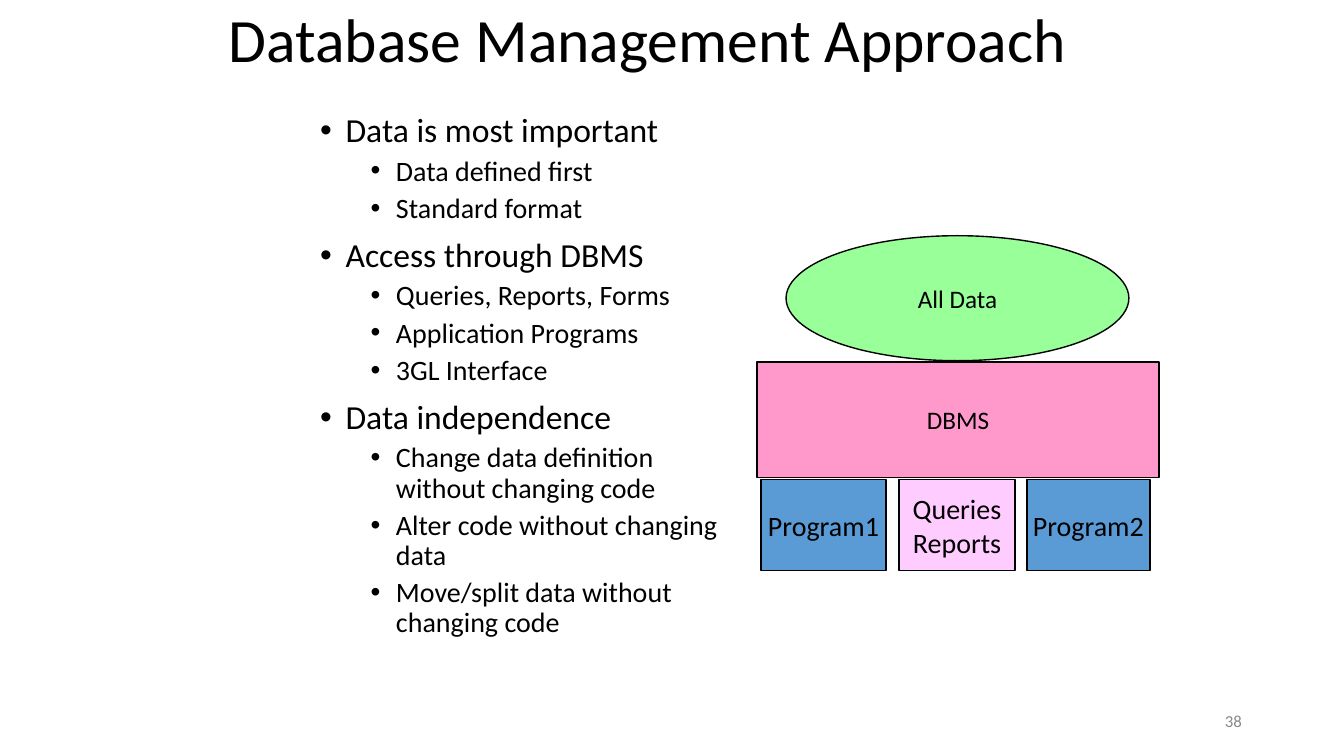
from dataclasses import dataclass

from lxml.etree import SubElement
from pptx import Presentation
from pptx.dml.color import RGBColor
from pptx.enum.shapes import MSO_SHAPE
from pptx.enum.text import MSO_ANCHOR, MSO_AUTO_SIZE, PP_ALIGN
from pptx.oxml.ns import qn
from pptx.util import Cm, Pt


@dataclass(frozen=True)
class Theme:
    font: str = "Calibri"
    black: str = "000000"
    grey: str = "898989"
    green: str = "99FF99"
    pink: str = "FF99CC"
    blue: str = "5B9BD5"
    lilac: str = "FFCCFF"
    title: int = 44
    point: int = 24
    label: int = 20
    store: int = 18
    small: int = 12


THEME = Theme()

POINTS = [
    ("Data is most important", ["Data defined first", "Standard format"]),
    ("Access through DBMS",
     ["Queries, Reports, Forms", "Application Programs", "3GL Interface"]),
    ("Data independence",
     ["Change data definition without changing code",
      "Alter code without changing data",
      "Move/split data without changing code"]),
]

BLOCKS = [
    ("All Data", MSO_SHAPE.OVAL, (19.81, 5.94, 8.64, 3.15), THEME.green, THEME.store),
    ("DBMS", MSO_SHAPE.RECTANGLE, (19.08, 9.12, 10.13, 2.92), THEME.pink, THEME.store),
]

CLIENTS = [
    ("Program1", 19.18, 3.15, THEME.blue),
    ("Program2", 25.88, 3.1, THEME.blue),
    ("Queries\nReports", 22.66, 2.92, THEME.lilac),
]


def write(para, text, size, color=THEME.black, align=PP_ALIGN.LEFT, space=None, before=None):
    para.alignment = align
    if space is not None:
        para.line_spacing = space
    if before is not None:
        para.space_before = Pt(before)
    run = para.add_run()
    run.text = text
    run.font.name = THEME.font
    run.font.size = Pt(size)
    run.font.color.rgb = RGBColor.from_string(color)


def extend(frame, first):
    return frame.paragraphs[0] if first else frame.add_paragraph()


def bullet(para, left):
    props = para._p.get_or_add_pPr()
    props.set("marL", str(Cm(left)))
    props.set("indent", str(-Cm(0.64)))
    SubElement(props, qn("a:buFont")).set("typeface", "Arial")
    SubElement(props, qn("a:buChar")).set("char", "•")


def add_title(slide, text):
    title = slide.shapes.title
    title.left, title.top, title.width, title.height = map(Cm, (5.51, -0.2, 22.86, 2.54))
    frame = title.text_frame
    frame.auto_size = MSO_AUTO_SIZE.NONE
    frame.vertical_anchor = MSO_ANCHOR.MIDDLE
    write(frame.paragraphs[0], text, THEME.title, space=0.9)


def add_points(slide):
    frame = slide.shapes.add_textbox(*map(Cm, (7.82, 2.74, 10.59, 14.17))).text_frame
    frame.word_wrap = True
    for index, (point, details) in enumerate(POINTS):
        para = extend(frame, index == 0)
        bullet(para, 0.64)
        write(para, point, THEME.point, space=0.9, before=10 if index else 0)
        for detail in details:
            para = frame.add_paragraph()
            para.level = 1
            bullet(para, 1.91)
            write(para, detail, THEME.label, space=0.9, before=5)


def add_block(slide, text, kind, place, fill, size):
    block = slide.shapes.add_shape(kind, *map(Cm, place))
    block.shadow.inherit = False
    block.fill.solid()
    block.fill.fore_color.rgb = RGBColor.from_string(fill)
    block.line.color.rgb = RGBColor.from_string(THEME.black)
    block.line.width = Pt(1)
    frame = block.text_frame
    frame.word_wrap = False
    frame.vertical_anchor = MSO_ANCHOR.MIDDLE
    for index, line in enumerate(text.split("\n")):
        write(extend(frame, index == 0), line, size, align=PP_ALIGN.CENTER)


def add_number(slide, text):
    frame = slide.shapes.add_textbox(*map(Cm, (23.93, 17.65, 7.62, 1.02))).text_frame
    frame.word_wrap = True
    frame.vertical_anchor = MSO_ANCHOR.MIDDLE
    write(frame.paragraphs[0], text, THEME.small, color=THEME.grey, align=PP_ALIGN.RIGHT)


def main():
    deck = Presentation()
    deck.slide_width, deck.slide_height = Cm(33.87), Cm(19.05)
    slide = deck.slides.add_slide(deck.slide_layouts.get_by_name("Title Only"))
    add_number(slide, "38")
    add_title(slide, "Database Management Approach")
    add_points(slide)
    for block in BLOCKS:
        add_block(slide, *block)
    for text, left, width, fill in CLIENTS:
        place = (left, 12.09, width, 2.29)
        add_block(slide, text, MSO_SHAPE.RECTANGLE, place, fill, THEME.label)
    deck.save("out.pptx")


if __name__ == "__main__":
    main()
